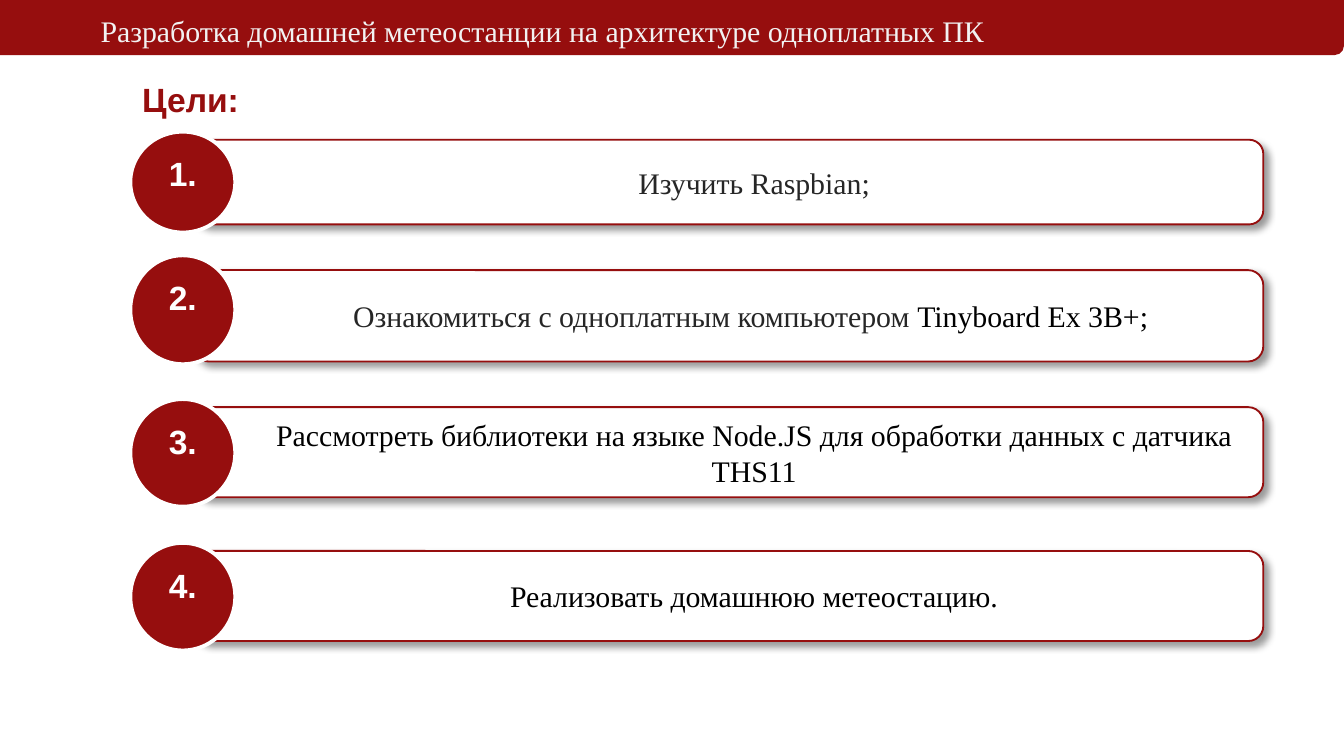
import pptx
import pptx.dml.color
import pptx.enum.shapes
import pptx.enum.text
import pptx.oxml
import pptx.oxml.ns
import pptx.util
from dataclasses import dataclass

Pt = pptx.util.Pt
MSO_SHAPE = pptx.enum.shapes.MSO_SHAPE
ANCHOR = pptx.enum.text.MSO_ANCHOR
ALIGN = pptx.enum.text.PP_ALIGN


@dataclass(frozen=True)
class Theme:
    red: str = "960E0E"
    white: str = "FFFFFF"
    pale: str = "F2F2F2"
    grey: str = "262626"
    black: str = "000000"
    serif: str = "Times New Roman"
    sans: str = "Arial"
    body_size: int = 16
    heading_size: int = 18


theme = Theme()

# Content
TOPIC = "Разработка домашней метеостанции на архитектуре одноплатных ПК"
HEADING = "Цели:"
# Goal runs, bar top and height, circle top and height, label width
GOALS = [
    ([("Изучить Raspbian;", theme.grey)], 74.88, 45.36, 70.56, 54, 530),
    ([("Ознакомиться с одноплатным компьютером ", theme.grey),
      ("Tinyboard Ex 3B+;", theme.black)], 144.72, 48.96, 136.8, 58.32, 526.3),
    ([("Рассмотреть библиотеки на языке Node.JS для обработки данных с датчика THS11",
       theme.black)], 218.16, 48.24, 213.84, 57.6, 530),
    ([("Реализовать домашнюю метеостацию.", theme.black)], 295.2, 48.24, 290.88, 57.6, 530),
]

# Layout
SLIDE_W, SLIDE_H = 720, 405
BAR_LEFT, BAR_W = 103.68, 573.12
LABEL_LEFT = 139
CIRCLE_LEFT, CIRCLE_W = 69.84, 56.16
NUMBER_DROP, NUMBER_H = 8, 29


def rgb(colour):
    return pptx.dml.color.RGBColor.from_string(colour)


def add_figure(shapes, preset, box, fill, line=None, line_width=0):
    figure = shapes.add_shape(preset, *map(Pt, box))
    figure.shadow.inherit = False
    figure.fill.solid()
    figure.fill.fore_color.rgb = rgb(fill)
    if line:
        figure.line.color.rgb = rgb(line)
        figure.line.width = Pt(line_width)
    else:
        figure.line.fill.background()
    return figure


def add_drop_shadow(figure):
    effects = figure._element.spPr.find(pptx.oxml.ns.qn("a:effectLst"))
    effects.append(pptx.oxml.parse_xml(
        f'<a:outerShdw {pptx.oxml.ns.nsdecls("a")} blurRad="{Pt(4)}" dist="{Pt(3)}" '
        'dir="2700000" algn="tl" rotWithShape="0">'
        f'<a:srgbClr val="{theme.black}"><a:alpha val="40000"/></a:srgbClr></a:outerShdw>'))


def add_text(shapes, box, runs, font, size, bold=False, align=ALIGN.LEFT,
             anchor=ANCHOR.MIDDLE, wrap=True):
    frame = shapes.add_textbox(*map(Pt, box)).text_frame
    frame.word_wrap = wrap
    frame.vertical_anchor = anchor
    paragraph = frame.paragraphs[0]
    paragraph.alignment = align
    for words, colour in runs:
        run = paragraph.add_run()
        run.text = words
        run.font.name = font
        run.font.size = Pt(size)
        run.font.bold = bold
        run.font.color.rgb = rgb(colour)


def add_goal(slide, number, runs, bar_top, bar_h, circle_top, circle_h, label_w):
    parts = slide.shapes.add_group_shape().shapes
    bar = add_figure(parts, MSO_SHAPE.ROUNDED_RECTANGLE,
                     (BAR_LEFT, bar_top, BAR_W, bar_h), theme.white, theme.red, 1)
    add_drop_shadow(bar)
    add_text(parts, (LABEL_LEFT, bar_top, label_w, bar_h), runs,
             theme.serif, theme.body_size, align=ALIGN.CENTER)
    add_figure(parts, MSO_SHAPE.OVAL, (CIRCLE_LEFT, circle_top, CIRCLE_W, circle_h),
               theme.red, theme.white, 2)
    add_text(parts, (CIRCLE_LEFT, circle_top + NUMBER_DROP, CIRCLE_W, NUMBER_H),
             [(f"{number}.", theme.white)], theme.sans, theme.heading_size,
             bold=True, align=ALIGN.CENTER, anchor=ANCHOR.TOP)


def main():
    deck = pptx.Presentation()
    deck.slide_width, deck.slide_height = Pt(SLIDE_W), Pt(SLIDE_H)
    slide = deck.slides.add_slide(deck.slide_layouts[6])

    # Header band, rounded at the lower right
    band = add_figure(slide.shapes, MSO_SHAPE.ROUND_1_RECTANGLE,
                      (0, 0, SLIDE_W, 29.5), theme.red)
    band._element.spPr.xfrm.set("flipV", "1")
    add_text(slide.shapes, (46.8, 5.76, 626.4, 21.6), [(TOPIC, theme.pale)],
             theme.serif, theme.body_size)

    # Heading and numbered goals
    add_text(slide.shapes, (69.12, 38.88, 66.96, 28.8), [(HEADING, theme.red)],
             theme.sans, theme.heading_size, bold=True, anchor=ANCHOR.TOP, wrap=False)
    for number, goal in enumerate(GOALS, start=1):
        add_goal(slide, number, *goal)

    deck.save("out.pptx")


if __name__ == "__main__":
    main()
